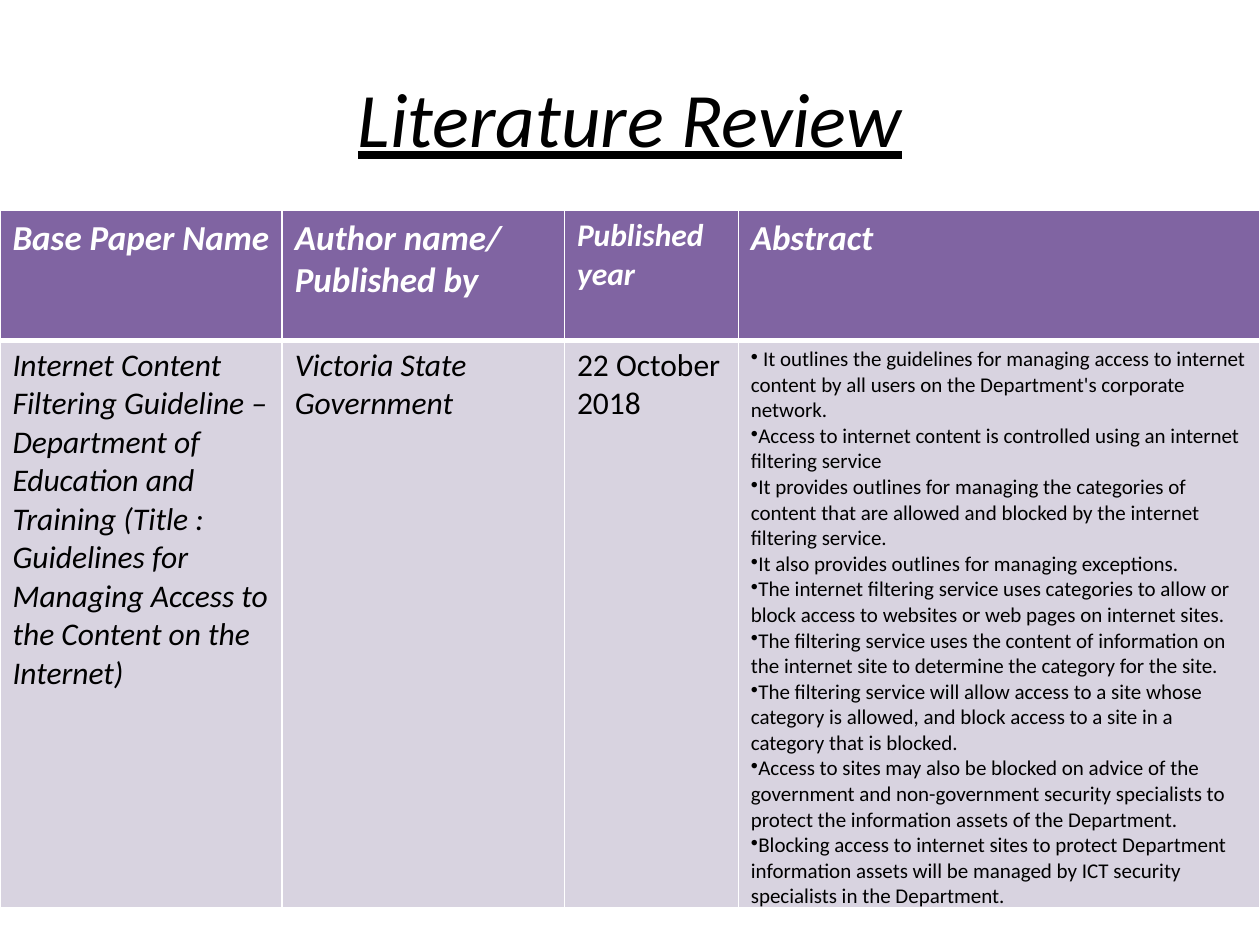
import pptx
import pptx.dml.color
import pptx.enum.text
import pptx.oxml.ns
import pptx.util
from lxml import etree

Inches = pptx.util.Inches
Pt = pptx.util.Pt
COLORS = {"black": "000000", "white": "FFFFFF", "header": "8064A2", "body": "D8D3E0"}
COLUMN_WIDTHS = [2.24, 2.24, 1.38, 4.14]
ROW_HEIGHTS = [1.03, 4.42]
HEADERS = [
    (["Base Paper Name"], 20),
    (["Author name/", "Published by"], 20),
    (["Published year"], 18),
    (["Abstract"], 20),
]
PAPER = (
    "Internet Content Filtering Guideline – Department of Education and Training "
    "(Title : Guidelines for Managing Access to the Content on the Internet)"
)
ABSTRACT = [
    " It outlines the guidelines for managing access to internet content by all users "
    "on the Department's corporate network.",
    "Access to internet content is controlled using an internet filtering service",
    "It provides outlines for managing the categories of content that are allowed and "
    "blocked by the internet filtering service.",
    "It also provides outlines for managing exceptions.",
    "The internet filtering service uses categories to allow or block access to "
    "websites or web pages on internet sites.",
    "The filtering service uses the content of information on the internet site to "
    "determine the category for the site.",
    "The filtering service will allow access to a site whose category is allowed, and "
    "block access to a site in a category that is blocked.",
    "Access to sites may also be blocked on advice of the government and non-government "
    "security specialists to protect the information assets of the Department.",
    "Blocking access to internet sites to protect Department information assets will be "
    "managed by ICT security specialists in the Department.",
]
BODY = [
    ([PAPER], {"size": 18, "italic": True}),
    (["Victoria State Government"], {"size": 18, "italic": True}),
    (["22 October 2018"], {"size": 18}),
    (ABSTRACT, {"size": 12, "bullet": "•"}),
]


def rgb(name):
    return pptx.dml.color.RGBColor.from_string(COLORS[name])


def add_xml(parent, tag, **attributes):
    return etree.SubElement(parent, pptx.oxml.ns.qn(tag), attributes)


def write_text(tf, lines, size=18, color="black", bold=False, italic=False,
               underline=False, align=pptx.enum.text.PP_ALIGN.LEFT, bullet=None):
    for i, line in enumerate(lines):
        p = tf.add_paragraph() if i else tf.paragraphs[0]
        p.alignment = align
        if bullet:
            add_xml(p._p.get_or_add_pPr(), "a:buChar", char=bullet)
        r = p.add_run()
        r.text = line
        r.font.name = "Calibri"
        r.font.size = Pt(size)
        r.font.bold = bold
        r.font.italic = italic
        r.font.underline = underline
        r.font.color.rgb = rgb(color)


def add_title(s, text):
    sp = s.shapes.add_textbox(Inches(0.5), Inches(0.3), Inches(9), Inches(1.25))
    tf = sp.text_frame
    tf.word_wrap = True
    tf.vertical_anchor = pptx.enum.text.MSO_ANCHOR.MIDDLE
    write_text(tf, [text], size=44, italic=True, underline=True,
               align=pptx.enum.text.PP_ALIGN.CENTER)


def style_cell(cell, fill, top=1, bottom=1):
    tc_pr = cell._tc.get_or_add_tcPr()
    for side, width in {"L": 1, "R": 1, "T": top, "B": bottom}.items():
        ln = add_xml(tc_pr, f"a:ln{side}", w=str(Pt(width)))
        add_xml(add_xml(ln, "a:solidFill"), "a:srgbClr", val=COLORS["white"])
    cell.fill.solid()
    cell.fill.fore_color.rgb = rgb(fill)


def add_review_table(s):
    table = s.shapes.add_table(
        len(ROW_HEIGHTS), len(COLUMN_WIDTHS), Inches(0), Inches(1.67),
        Inches(sum(COLUMN_WIDTHS)), Inches(sum(ROW_HEIGHTS))).table
    for column, width in zip(table.columns, COLUMN_WIDTHS):
        column.width = Inches(width)
    for row, height in zip(table.rows, ROW_HEIGHTS):
        row.height = Inches(height)
    for i, (lines, size) in enumerate(HEADERS):
        cell = table.cell(0, i)
        style_cell(cell, "header", bottom=3)
        write_text(cell.text_frame, lines, size=size, color="white", bold=True, italic=True)
    for i, (lines, text_format) in enumerate(BODY):
        cell = table.cell(1, i)
        style_cell(cell, "body", top=3)
        write_text(cell.text_frame, lines, **text_format)


def main():
    prs = pptx.Presentation()
    prs.slide_width = Inches(10)
    prs.slide_height = Inches(7.5)
    s = prs.slides.add_slide(prs.slide_layouts[6])
    add_title(s, "Literature Review")
    add_review_table(s)
    prs.save("out.pptx")


if __name__ == "__main__":
    main()
